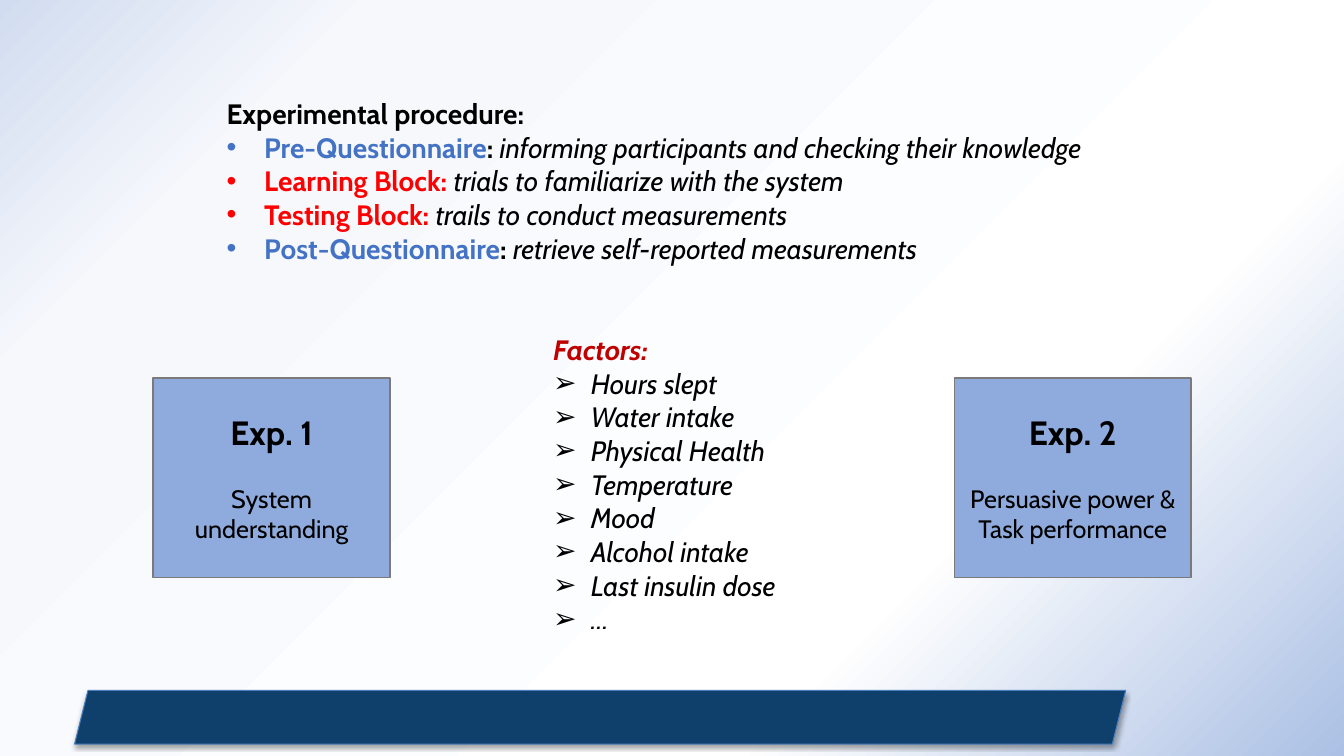
import lxml.etree
import pptx
import pptx.dml.color
import pptx.enum.shapes
import pptx.enum.text
import pptx.oxml.ns
import pptx.util

Cm, Pt = pptx.util.Cm, pptx.util.Pt
qn = pptx.oxml.ns.qn
SHAPES = pptx.enum.shapes.MSO_SHAPE

COLORS = {
    "black": "000000", "blue": "4472C4", "red": "FF0000", "dark red": "C00000",
    "navy": "0F406B", "navy edge": "4B7EBC", "box": "8FAADC", "box edge": "7A7A7A",
}
BACKGROUND_STOPS = [(0, "ABC0E4"), (29, "FFFFFF"), (82, "F6F8FC"), (100, "D1DCF0")]

# Each step: label, label colour, colon colour, explanation
PROCEDURE = [
    ("Pre-Questionnaire", "blue", "black", "informing participants and checking their knowledge"),
    ("Learning Block", "red", "red", "trials to familiarize with the system"),
    ("Testing Block", "red", "red", "trails to conduct measurements"),
    ("Post-Questionnaire", "blue", "black", "retrieve self-reported measurements"),
]
FACTORS = ["Hours slept", "Water intake", "Physical Health", "Temperature",
           "Mood", "Alcohol intake", "Last insulin dose", "…"]
EXPERIMENTS = [
    (3.86, "Exp. 1", "System understanding"),
    (24.05, "Exp. 2", "Persuasive power & Task performance"),
]


def rgb(name):
    return pptx.dml.color.RGBColor.from_string(COLORS[name])


def add_xml(parent, tag, **attributes):
    values = {key: str(value) for key, value in attributes.items()}
    return lxml.etree.SubElement(parent, qn(tag), values)


class SlideBuilder:
    font_name = "Cabin"
    body_size = 20

    def __init__(self, slide):
        self.slide = slide

    def background(self, stops):
        """Fill the slide with a gradient spreading from the bottom right corner."""
        self.slide.background.fill.gradient()
        gradient = self.slide.element.find(".//" + qn("a:gradFill"))
        for child in list(gradient):
            gradient.remove(child)
        stop_list = add_xml(gradient, "a:gsLst")
        for position, color in stops:
            stop = add_xml(stop_list, "a:gs", pos=position * 1000)
            add_xml(stop, "a:srgbClr", val=color)
        spread = add_xml(gradient, "a:path", path="circle")
        add_xml(spread, "a:fillToRect", l=100000, t=100000)
        add_xml(gradient, "a:tileRect", r=-100000, b=-100000)

    def shape(self, kind, left, top, width, height, fill, line, line_width):
        shape = self.slide.shapes.add_shape(kind, Cm(left), Cm(top), Cm(width), Cm(height))
        shape.shadow.inherit = False
        shape.fill.solid()
        shape.fill.fore_color.rgb = rgb(fill)
        shape.line.color.rgb = rgb(line)
        shape.line.width = Pt(line_width)
        return shape

    def drop_shadow(self, shape):
        effects = shape.element.spPr.find(qn("a:effectLst"))
        shadow = add_xml(effects, "a:outerShdw", blurRad=Pt(3.1), dist=Pt(1.8),
                         dir=5400000, rotWithShape=0)
        color = add_xml(shadow, "a:srgbClr", val=COLORS["black"])
        add_xml(color, "a:alpha", val=35000)

    def style(self, font, size, color="black", bold=None, italic=None):
        font.name = self.font_name
        font.size = Pt(size)
        font.color.rgb = rgb(color)
        font.bold = bold
        font.italic = italic

    def experiment(self, left, title, topic):
        box = self.shape(SHAPES.RECTANGLE, left, 9.53, 5.97, 5.03, "box", "box edge", 1)
        frame = box.text_frame
        frame.word_wrap = True
        frame.vertical_anchor = pptx.enum.text.MSO_ANCHOR.MIDDLE
        heading, body = frame.paragraphs[0], frame.add_paragraph()
        heading.text, body.text = title, topic
        body.space_before = Pt(22)
        for paragraph, size, bold in ((heading, 24, True), (body, 18, False)):
            paragraph.alignment = pptx.enum.text.PP_ALIGN.CENTER
            self.style(paragraph.font, size, bold=bold)

    def text_list(self, left, top, width, height, title, color, italic, bullet, items):
        """Add a bold title and bulleted items, each a list of (text, colour, bold, italic)."""
        box = self.slide.shapes.add_textbox(Cm(left), Cm(top), Cm(width), Cm(height))
        frame = box.text_frame
        frame.word_wrap = True
        frame.auto_size = pptx.enum.text.MSO_AUTO_SIZE.SHAPE_TO_FIT_TEXT
        heading = frame.paragraphs[0]
        heading.text = title
        self.style(heading.font, self.body_size, color, True, italic)
        for parts in items:
            paragraph = frame.add_paragraph()
            self.bullet(paragraph, bullet)
            if len(parts) == 1:
                text, *look = parts[0]
                paragraph.text = text
                self.style(paragraph.font, self.body_size, *look)
                continue
            for text, *look in parts:
                run = paragraph.add_run()
                run.text = text
                self.style(run.font, self.body_size, *look)

    def bullet(self, paragraph, character):
        properties = paragraph._p.get_or_add_pPr()
        properties.set("marL", str(Cm(0.95)))
        properties.set("indent", str(-Cm(0.95)))
        add_xml(properties, "a:buFont", typeface="Arial")
        add_xml(properties, "a:buChar", char=character)


def main():
    presentation = pptx.Presentation()
    presentation.slide_width, presentation.slide_height = Cm(33.87), Cm(19.05)
    builder = SlideBuilder(presentation.slides.add_slide(presentation.slide_layouts[6]))
    builder.background(BACKGROUND_STOPS)

    footer = builder.shape(SHAPES.PARALLELOGRAM, 1.88, 17.4, 26.49, 1.35,
                           "navy", "navy edge", 0.75)
    builder.drop_shadow(footer)

    steps = [[(label, color, True, False), (": ", colon, True, False),
              (explanation, "black", False, True)]
             for label, color, colon, explanation in PROCEDURE]
    builder.text_list(5.46, 2.31, 22.91, 4.52, "Experimental procedure:", "black", False,
                      "•", steps)
    for experiment in EXPERIMENTS:
        builder.experiment(*experiment)
    factors = [[(factor, "black", False, True)] for factor in FACTORS]
    builder.text_list(13.69, 8.26, 6.48, 7.95, "Factors:", "dark red", True, "➢", factors)

    presentation.save("out.pptx")


if __name__ == "__main__":
    main()
